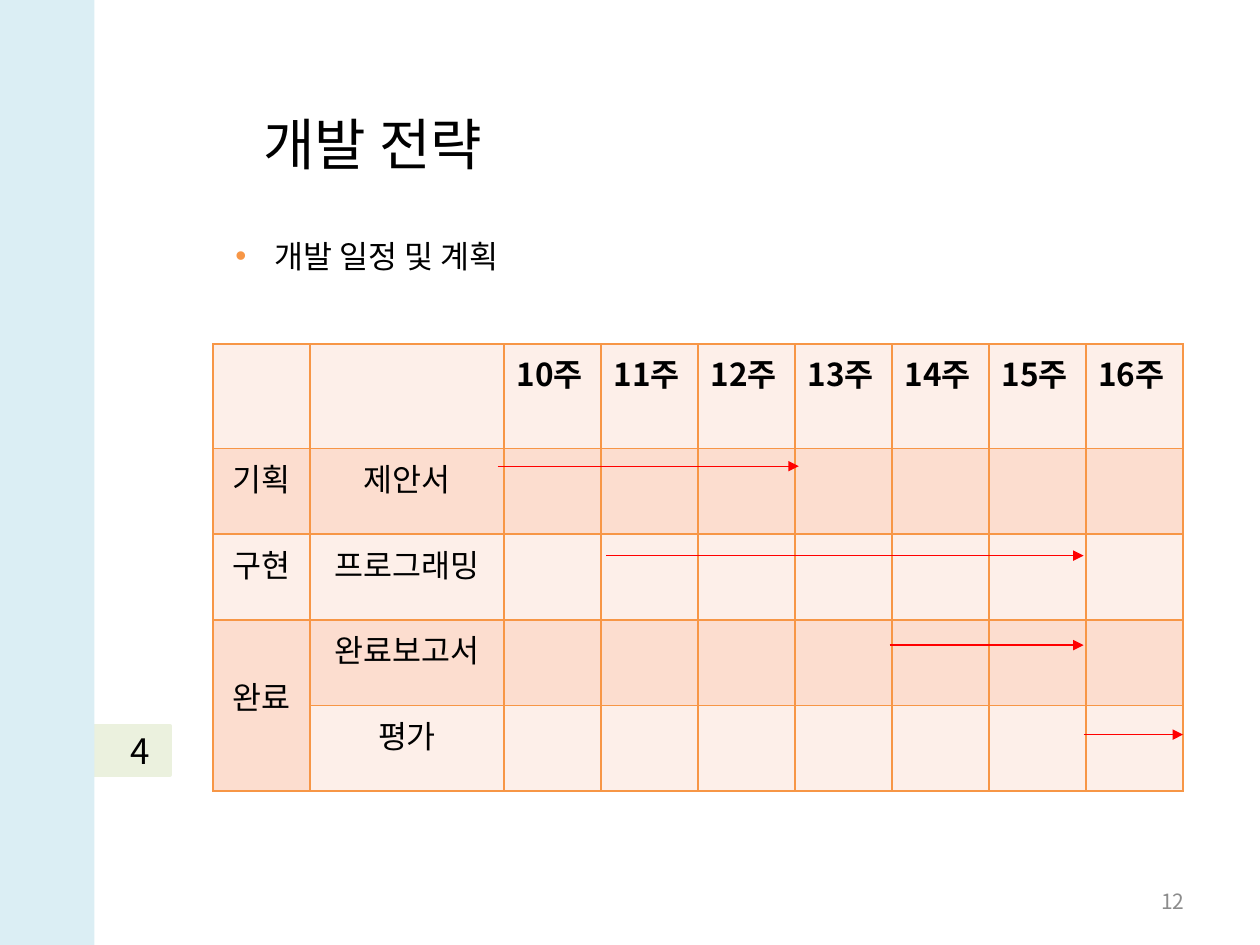
from lxml import etree
from pptx import Presentation
from pptx.dml.color import RGBColor
from pptx.enum.shapes import MSO_CONNECTOR, MSO_SHAPE
from pptx.enum.text import MSO_ANCHOR, PP_ALIGN
from pptx.oxml.ns import qn
from pptx.util import Inches, Pt

COLORS = {
    "text": "000000",
    "number": "8C8C8C",
    "sidebar": "DBEEF4",
    "section": "EBF1DE",
    "accent": "F79646",
    "light_row": "FDEFE9",
    "dark_row": "FCDDCF",
    "arrow": "FF0000",
}
FONT = "Noto Sans CJK KR"
WEEKS = [f"{week}주" for week in range(10, 17)]
SCHEDULE = [
    ["", "", *WEEKS],
    ["기획", "제안서"],
    ["구현", "프로그래밍"],
    ["완료", "완료보고서"],
    ["", "평가"],
]
COLUMN_WIDTHS = [0.77, 1.54] + [0.77] * len(WEEKS)
ROW_HEIGHTS = [0.83] + [0.68] * (len(SCHEDULE) - 1)
ARROW_SPANS = [(3.95, 6.34), (4.81, 8.6), (7.06, 8.6), (8.6, 9.39)]
ARROW_TOP, ARROW_STEP = 3.7, 0.71


def color(name):
    return RGBColor.from_string(COLORS[name])


def add_child(parent, tag, **attributes):
    return etree.SubElement(parent, qn(tag), attributes)


def write_text(frame, text, size=18, font=FONT, fill="text", bold=False,
               align=PP_ALIGN.LEFT, anchor=MSO_ANCHOR.TOP):
    frame.word_wrap = True
    frame.vertical_anchor = anchor
    paragraph = frame.paragraphs[0]
    paragraph.alignment = align
    run = paragraph.add_run()
    run.text = text
    run.font.size = Pt(size)
    run.font.name = font
    run.font.bold = bold
    run.font.color.rgb = color(fill)
    add_child(run.font._element, "a:ea", typeface=FONT)
    return paragraph


class SlideBuilder:
    def __init__(self, presentation):
        self.slide = presentation.slides.add_slide(presentation.slide_layouts[5])
        self.shapes = self.slide.shapes

    def title(self, text, left, top, width, height):
        title = self.shapes.title
        title.left, title.top = Inches(left), Inches(top)
        title.width, title.height = Inches(width), Inches(height)
        write_text(title.text_frame, text, size=32, align=PP_ALIGN.CENTER,
                   anchor=MSO_ANCHOR.MIDDLE)

    def text(self, text, left, top, width, height, **text_format):
        box = self.shapes.add_textbox(Inches(left), Inches(top),
                                      Inches(width), Inches(height))
        return write_text(box.text_frame, text, **text_format)

    def bullet(self, text, left, top, width, height, **text_format):
        paragraph = self.text(text, left, top, width, height, **text_format)
        properties = paragraph._p.get_or_add_pPr()
        indent = Inches(0.31)
        properties.set("marL", str(indent))
        properties.set("indent", str(-indent))
        bullet_color = add_child(properties, "a:buClr")
        add_child(bullet_color, "a:srgbClr", val=COLORS["accent"])
        add_child(properties, "a:buFont", typeface="Arial")
        add_child(properties, "a:buChar", char="•")

    def rectangle(self, fill, left, top, width, height):
        shape = self.shapes.add_shape(MSO_SHAPE.RECTANGLE, Inches(left), Inches(top),
                                      Inches(width), Inches(height))
        shape.shadow.inherit = False
        shape.fill.solid()
        shape.fill.fore_color.rgb = color(fill)
        shape.line.fill.background()
        return shape

    def arrow(self, start, end, top):
        line = self.shapes.add_connector(MSO_CONNECTOR.STRAIGHT, Inches(start),
                                         Inches(top), Inches(end), Inches(top))
        line.line.color.rgb = color("arrow")
        line.line.width = Pt(0.75)
        add_child(line.line._get_or_add_ln(), "a:tailEnd", type="triangle")
        add_child(line._element.spPr, "a:effectLst")

    def cell_style(self, cell, fill):
        properties = cell._tc.get_or_add_tcPr()
        for side in ("L", "R", "T", "B"):
            border = add_child(properties, f"a:ln{side}", w=str(Pt(1)))
            border_fill = add_child(border, "a:solidFill")
            add_child(border_fill, "a:srgbClr", val=COLORS["accent"])
        cell.fill.solid()
        cell.fill.fore_color.rgb = color(fill)

    def table(self, rows, column_widths, row_heights, left, top):
        frame = self.shapes.add_table(
            len(rows), len(column_widths), Inches(left), Inches(top),
            Inches(sum(column_widths)), Inches(sum(row_heights)))
        table = frame.table
        for column, width in zip(table.columns, column_widths):
            column.width = Inches(width)
        for row_index, (texts, height) in enumerate(zip(rows, row_heights)):
            table.rows[row_index].height = Inches(height)
            header = row_index == 0
            for cell in table.rows[row_index].cells:
                self.cell_style(cell, "dark_row" if row_index % 2 else "light_row")
            for column_index, text in enumerate(texts):
                if text:
                    write_text(table.cell(row_index, column_index).text_frame, text,
                               bold=header,
                               align=PP_ALIGN.LEFT if header else PP_ALIGN.CENTER)
        return table


def main():
    presentation = Presentation()
    presentation.slide_width, presentation.slide_height = Inches(10), Inches(7.5)
    builder = SlideBuilder(presentation)

    builder.title("개발 전략", 1.56, 0.68, 2.8, 0.91)
    builder.text("12", 7.17, 6.95, 2.33, 0.4, size=12, fill="number",
                 align=PP_ALIGN.RIGHT, anchor=MSO_ANCHOR.MIDDLE)

    section = builder.rectangle("section", 0.09, 5.76, 1.26, 0.39)
    section.line.color.rgb = color("section")
    section.line.width = Pt(2)
    section.text_frame.margin_right = Inches(0.16)
    write_text(section.text_frame, "4", size=20, align=PP_ALIGN.RIGHT,
               anchor=MSO_ANCHOR.MIDDLE)
    builder.rectangle("sidebar", 0, 0, 0.75, 7.5)

    table = builder.table(SCHEDULE, COLUMN_WIDTHS, ROW_HEIGHTS, 1.69, 2.73)
    completion = table.cell(3, 0)
    completion.merge(table.cell(4, 0))
    completion.vertical_anchor = MSO_ANCHOR.MIDDLE
    completion.margin_bottom = Inches(0.21)

    for index, (start, end) in enumerate(ARROW_SPANS):
        builder.arrow(start, end, ARROW_TOP + index * ARROW_STEP)

    builder.bullet("개발 일정 및 계획", 1.77, 1.83, 2.67, 0.4, font="Roboto")
    presentation.save("out.pptx")


if __name__ == "__main__":
    main()
